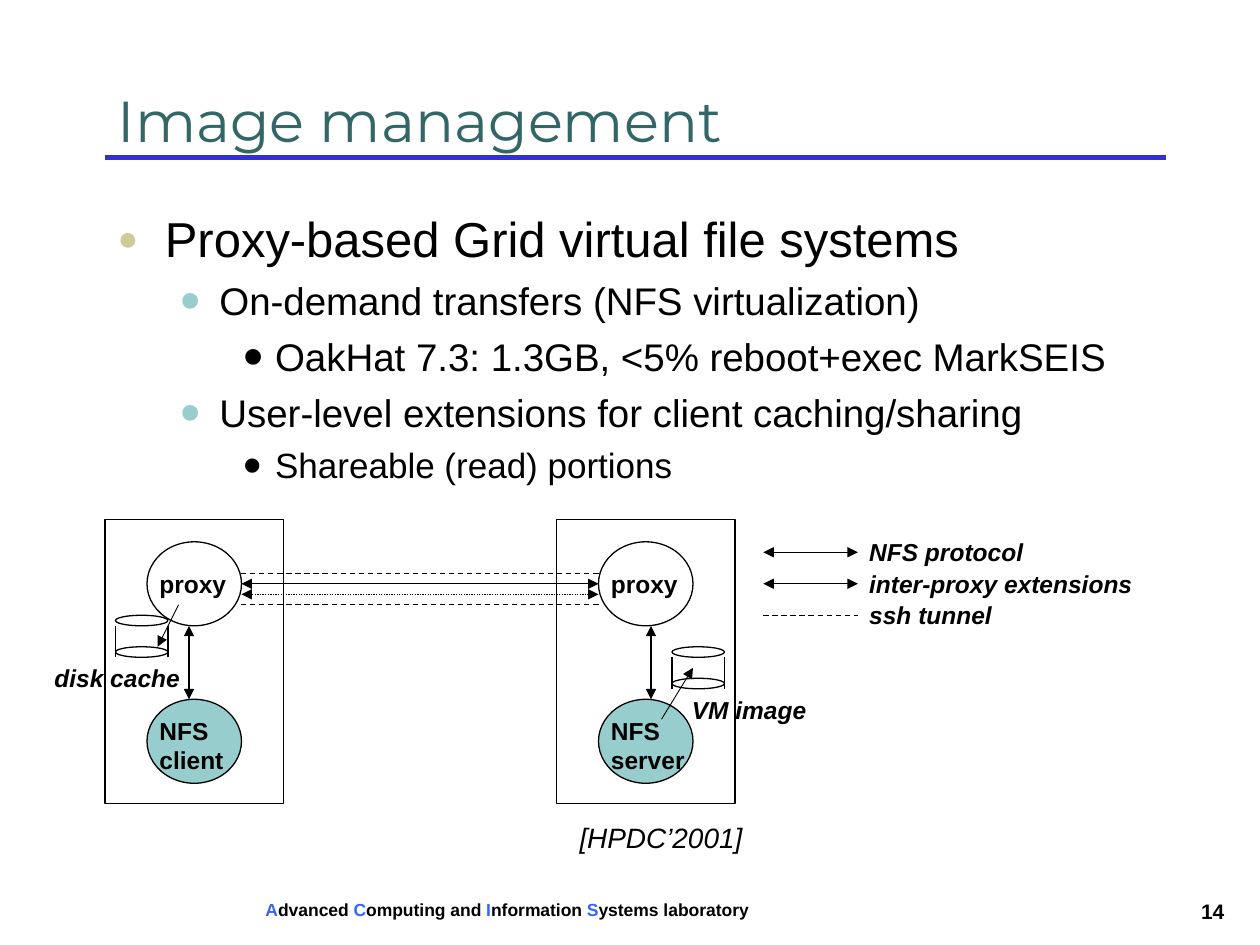
from lxml import etree
from pptx import Presentation
from pptx.dml.color import RGBColor
from pptx.enum import dml, shapes, text
from pptx.oxml.ns import qn
from pptx.util import Pt

PX = 7620  # EMU per px, 120 px to the inch

BLACK = RGBColor(0x00, 0x00, 0x00)
BLUE = RGBColor(0x33, 0x33, 0xCC)
INITIAL = RGBColor(0x33, 0x66, 0xFF)
GREEN = RGBColor(0x33, 0x66, 0x66)
SAND = RGBColor(0xCC, 0xCC, 0x99)
TEAL = RGBColor(0x97, 0xCD, 0xCC)
DASH, DOT = dml.MSO_LINE.DASH, dml.MSO_LINE.ROUND_DOT

TITLE = "Image management"
BULLETS = [  # level, size, space before, text
    (0, 28, 7, "Proxy-based Grid virtual file systems"),
    (1, 22, 5.5, "On-demand transfers (NFS virtualization)"),
    (2, 22, 5.5, "OakHat 7.3: 1.3GB, <5% reboot+exec MarkSEIS"),
    (1, 22, 5.5, "User-level extensions for client caching/sharing"),
    (2, 20, 5, "Shareable (read) portions"),
]
LEVELS = [  # indent, hanging, bullet, bullet colour, bullet size %
    (45, 45, "●", SAND, 70),
    (97, 37, "•", TEAL, 150),
    (150, 30, "•", BLACK, 150),
]
FOOTER = [("A", "dvanced "), ("C", "omputing and "),
          ("I", "nformation "), ("S", "ystems laboratory")]
HOSTS = [  # left, NFS role, role width, NFS arrow x, disk left and top
    (100, "client", 95, 180, (110, 586)),
    (530, "server", 104, 620, (640, 616)),
]
LINKS = [(546, DASH, False), (556, None, True),
         (566, DOT, True), (576, DASH, False)]  # y, dash, arrows
LEGEND = [("NFS protocol", 185, None, True),
          ("inter-proxy extensions", 290, None, True),
          ("ssh tunnel", 155, DASH, False)]
CAPTIONS = [("disk cache", 40, 626, 158), ("VM image", 647, 656, 148)]
POINTERS = [(170, 576, 150, 616), (630, 685, 660, 636)]

prs = Presentation()
prs.slide_width, prs.slide_height = 1200 * PX, 900 * PX
slide = prs.slides.add_slide(prs.slide_layouts[1])


def emu(*px):
    return [round(v * PX) for v in px]


def place(sp, *box):
    sp.left, sp.top, sp.width, sp.height = emu(*box)


def add_run(p, words, size, color=BLACK, bold=False, italic=False, font="Arial"):
    r = p.add_run()
    r.text = words
    r.font.name, r.font.size = font, Pt(size)
    r.font.bold, r.font.italic = bold, italic
    r.font.color.rgb = color


def add_text(box, lines, size=14, bold=True, italic=False, align=text.PP_ALIGN.LEFT):
    """Each line is a list of (words, colour) runs."""
    tf = slide.shapes.add_textbox(*emu(*box)).text_frame
    tf.word_wrap = True
    tf.auto_size = text.MSO_AUTO_SIZE.NONE
    for i, runs in enumerate(lines):
        p = tf.add_paragraph() if i else tf.paragraphs[0]
        p.alignment = align
        for words, color in runs:
            add_run(p, words, size, color, bold, italic)


def add_label(words, x, y, w):
    add_text((x, y, w, 40), [[(words, BLACK)]], italic=True)


def add_line(x1, y1, x2, y2, width=0.75, color=BLACK, dash=None, head=False, tail=False):
    s = slide.shapes.add_connector(shapes.MSO_CONNECTOR.STRAIGHT, *emu(x1, y1, x2, y2))
    s.line.width, s.line.color.rgb = Pt(width), color
    if dash:
        s.line.dash_style = dash
    ln = s.line._get_or_add_ln()
    for tag, wanted in (("a:headEnd", head), ("a:tailEnd", tail)):
        if wanted:
            etree.SubElement(ln, qn(tag), type="triangle")
    etree.SubElement(s._element.spPr, qn("a:effectLst"))


def add_outline(kind, box, fill=None):
    s = slide.shapes.add_shape(kind, *emu(*box))
    s.shadow.inherit = False
    if fill is None:
        s.fill.background()
    else:
        s.fill.solid()
        s.fill.fore_color.rgb = fill
    s.line.color.rgb, s.line.width = BLACK, Pt(0.75)


def add_bullet(p, level):
    indent, hanging, char, color, percent = LEVELS[level]
    pPr = p._p.get_or_add_pPr()
    pPr.set("marL", str(indent * PX))
    pPr.set("indent", str(-hanging * PX))
    clr = etree.SubElement(pPr, qn("a:buClr"))
    etree.SubElement(clr, qn("a:srgbClr"), val=str(color))
    etree.SubElement(pPr, qn("a:buSzPct"), val=str(percent * 1000))
    etree.SubElement(pPr, qn("a:buFont"), typeface="Arial")
    etree.SubElement(pPr, qn("a:buChar"), char=char)


def add_disk(x, y):
    for dy in (0, 30):
        add_outline(shapes.MSO_SHAPE.OVAL, (x, y + dy, 50, 10))
    for dx in (0, 50):
        add_line(x + dx, y + 10, x + dx, y + 40)


def add_host(x, role, role_width, arrow_x, disk):
    left = x + 40
    add_outline(shapes.MSO_SHAPE.RECTANGLE, (x, 495, 170, 270))
    add_outline(shapes.MSO_SHAPE.OVAL, (left, 516, 90, 80))
    add_outline(shapes.MSO_SHAPE.OVAL, (left, 666, 90, 80), TEAL)
    add_line(arrow_x, 666, arrow_x, 596, head=True, tail=True)
    add_text((left, 536, 98, 40), [[("proxy", BLACK)]])
    add_text((left, 676, role_width, 68), [[("NFS", BLACK)], [(role, BLACK)]])
    add_disk(*disk)


# Title, rule and bullets
add_line(100, 150, 1110, 150, width=3, color=BLUE)
title, body = slide.placeholders
place(title, 100, 70, 1010, 83)
tf = title.text_frame
tf.vertical_anchor = text.MSO_ANCHOR.BOTTOM
tf.auto_size = text.MSO_AUTO_SIZE.NONE
tf.paragraphs[0].alignment = text.PP_ALIGN.LEFT
add_run(tf.paragraphs[0], TITLE, 33, GREEN, font="Montserrat")

place(body, 100, 193, 990, 277)
tf = body.text_frame
tf.auto_size = text.MSO_AUTO_SIZE.NONE
for i, (level, size, before, words) in enumerate(BULLETS):
    p = tf.add_paragraph() if i else tf.paragraphs[0]
    p.level, p.space_before = level, Pt(before)
    add_bullet(p, level)
    add_run(p, words, size)

# Diagram
for host in HOSTS:
    add_host(*host)
for y, dash, arrows in LINKS:
    add_line(570, y, 230, y, dash=dash, head=arrows, tail=arrows)
for i, (words, width, dash, arrows) in enumerate(LEGEND):
    y = 526 + 30 * i
    add_line(727, y, 817, y, dash=dash, head=arrows, tail=arrows)
    add_label(words, 816, y - 20, width)
for pointer in POINTERS:
    add_line(*pointer, width=0.5, tail=True)
for caption in CAPTIONS:
    add_label(*caption)
add_text((535, 776, 189, 44), [[("[HPDC’2001]", BLACK)]], 16, bold=False,
         italic=True, align=text.PP_ALIGN.CENTER)

# Footer
footer_runs = [run for initial, rest in FOOTER
               for run in ((initial, INITIAL), (rest, BLACK))]
add_text((241, 850, 500, 32), [footer_runs], 10)
add_text((1120, 850, 70, 36), [[("14", BLACK)]], 12, align=text.PP_ALIGN.CENTER)

prs.save("out.pptx")
